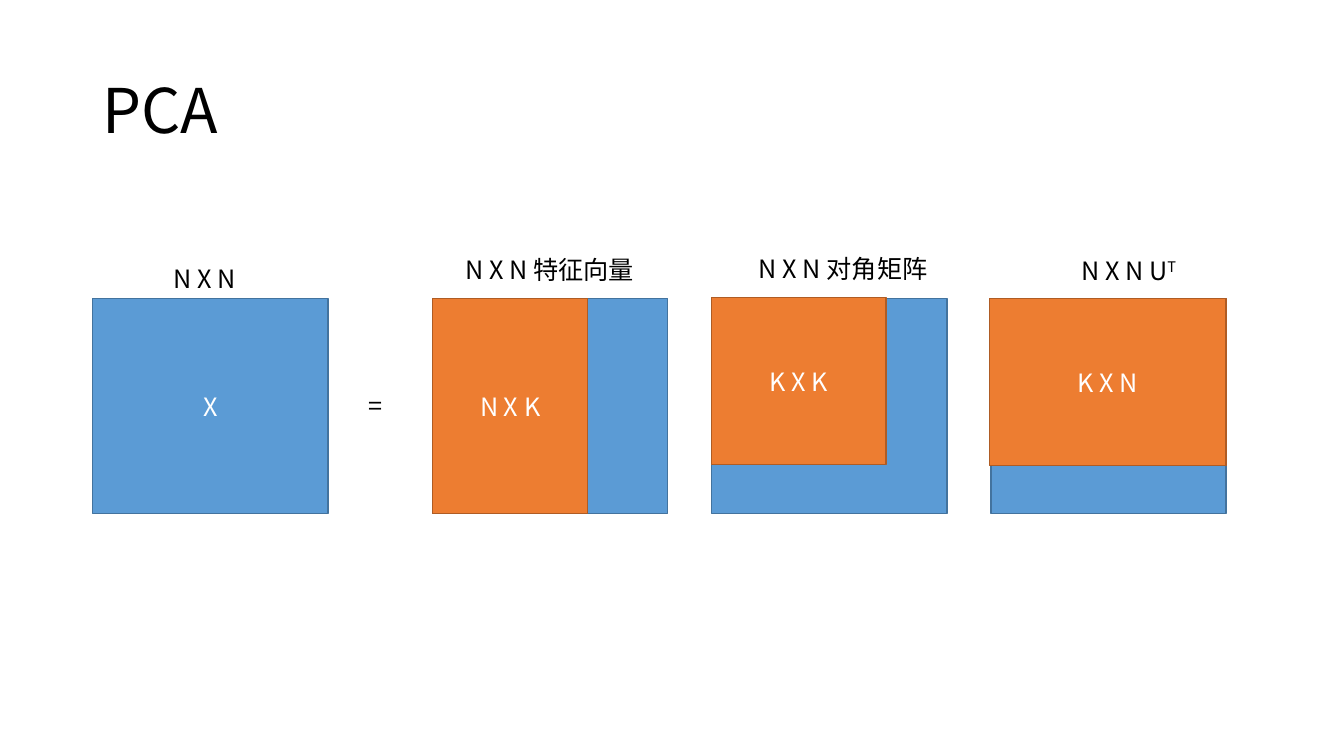
from pptx import Presentation
from pptx.util import Pt
from pptx.dml.color import RGBColor as RGB
from pptx.enum.shapes import MSO_SHAPE as Shape
from pptx.enum.text import PP_ALIGN as Align, MSO_ANCHOR as Anchor
from pptx.oxml.ns import qn
from lxml.etree import SubElement

FONT = "Noto Sans CJK SC"
BLUE, ORANGE = ("5B9BD5", "43739E"), ("ED7D31", "AF5C24")


def color(part, code):
    part.rgb = RGB.from_string(code)


def write(par, text, size=18, ink="000000", align=Align.LEFT, base=0):
    par.alignment = align
    run = par.add_run()
    run.text = text
    run.font.size = Pt(size)
    run.font.name = FONT
    color(run.font.color, ink)
    props = run.font._element
    SubElement(props, qn("a:ea")).set("typeface", FONT)
    if base:
        props.set("baseline", str(base * 1000))


deck = Presentation()
deck.slide_width, deck.slide_height = Pt(960), Pt(540)
slide = deck.slides.add_slide(deck.slide_layouts[5])

title = slide.shapes.title
title.left, title.top, title.width, title.height = Pt(66), Pt(28.75), Pt(828), Pt(104.4)
title.text_frame.vertical_anchor = Anchor.MIDDLE
head = title.text_frame.paragraphs[0]
head.line_spacing = 0.9
write(head, "PCA", size=44)

top, wide, high = 213.2, 168, 153.5
left, step = 309, 199.4
eigen, diag, trans = [left + i * step for i in range(3)]

boxes = [(x, top, wide, high, BLUE, "") for x in (eigen, diag, trans)]
boxes += [
    (66.2, top, wide, high, BLUE, "X"),
    (eigen, top, 110.8, high, ORANGE, "N X K"),
    (diag, 212.4, 124.6, 119.5, ORANGE, "K X K"),
    (trans - 1.2, top, wide + 1.2, 119.5, ORANGE, "K X N"),
]
for x, y, w, h, (fill, edge), text in boxes:
    box = slide.shapes.add_shape(Shape.RECTANGLE, Pt(x), Pt(y), Pt(w), Pt(h))
    box.shadow.inherit = False
    box.fill.solid()
    color(box.fill.fore_color, fill)
    color(box.line.color, edge)
    box.line.width = Pt(1)
    if text:
        box.text_frame.vertical_anchor = Anchor.MIDDLE
        write(box.text_frame.paragraphs[0], text, ink="FFFFFF", align=Align.CENTER)

labels = [
    (116.6, 184.3, 110, "N X N", ""),
    (256.3, 275, 43, "=", ""),
    (325.4, 177.8, 150.5, "N X N 特征向量", ""),
    (535, 177.1, 150, "N X N 对角矩阵", ""),
    (765.4, 178.6, 110, "N X N U", "T"),
]
for x, y, w, text, power in labels:
    frame = slide.shapes.add_textbox(Pt(x), Pt(y), Pt(w), Pt(29)).text_frame
    frame.word_wrap = True
    write(frame.paragraphs[0], text)
    if power:
        write(frame.paragraphs[0], power, base=30)

deck.save("out.pptx")
